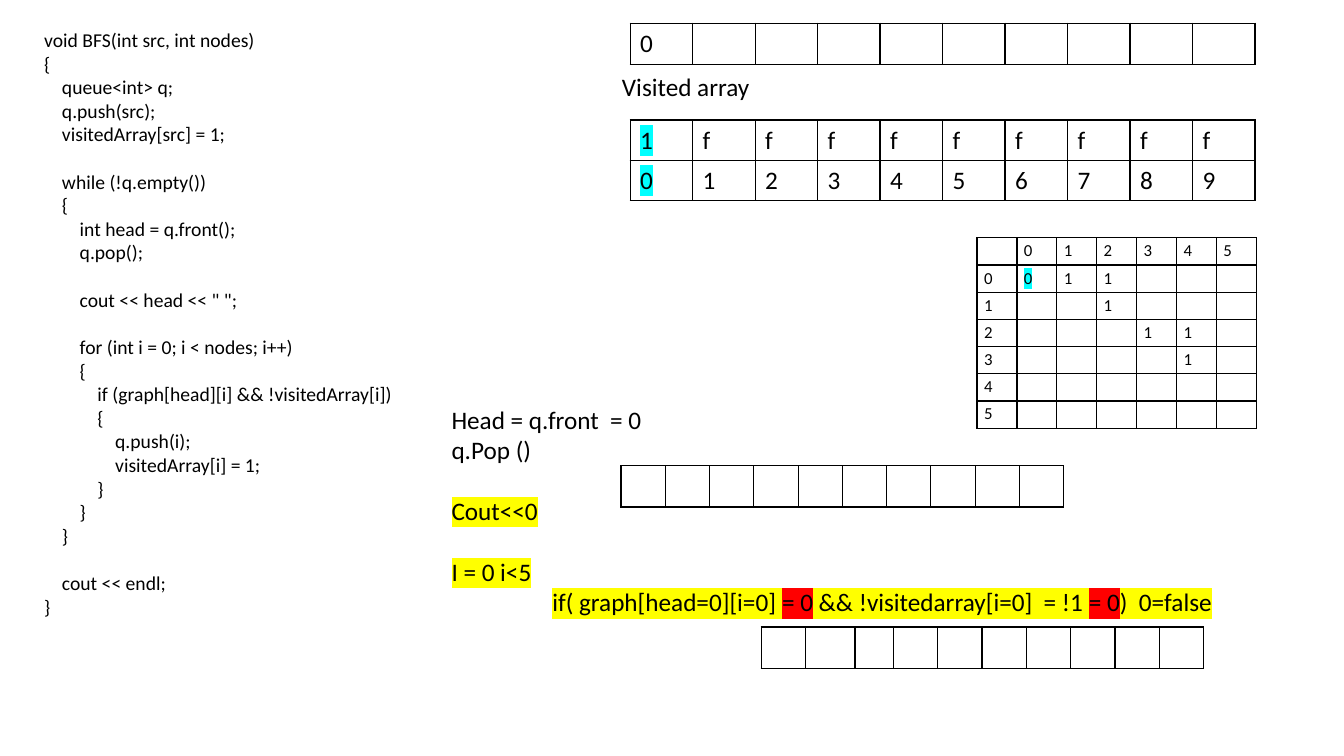
from collections import namedtuple
from dataclasses import dataclass

from lxml.etree import SubElement
from pptx import Presentation
from pptx.dml.color import RGBColor
from pptx.oxml.ns import qn
from pptx.util import Inches, Pt

Box = namedtuple("Box", "left top width height")


@dataclass(frozen=True)
class Theme:
    """Colours, font and type sizes of the slide."""
    font: str = "Calibri"
    ink: str = "000000"
    paper: str = "FFFFFF"
    current: str = "00FFFF"
    step: str = "FFFF00"
    false: str = "FF0000"
    body: int = 18
    code: int = 14
    matrix: int = 12
    border: float = 1


THEME = Theme()

BFS_CODE = """\
void BFS(int src, int nodes)
{
    queue<int> q;
    q.push(src);
    visitedArray[src] = 1;

    while (!q.empty())
    {
        int head = q.front();
        q.pop();

        cout << head << " ";

        for (int i = 0; i < nodes; i++)
        {
            if (graph[head][i] && !visitedArray[i])
            {
                q.push(i);
                visitedArray[i] = 1;
            }
        }
    }

    cout << endl;
}"""

TRACE = [
    (0, 0, [("Head = q.front  = 0", None)]),
    (0, 0, [("q.Pop ()", None)]),
    (1, 0, [("Cout<<0", THEME.step)]),
    (1, 0, [("I = 0 i<5", THEME.step)]),
    (0, 1, [("if( graph[head=0][i=0] ", THEME.step), ("= 0", THEME.false),
            (" && !visitedarray[i=0]  = !1 ", THEME.step), ("= 0", THEME.false),
            (")  0=false", THEME.step)]),
]

EDGES = {(0, 0): "0", (0, 1): "1", (0, 2): "1", (1, 2): "1",
         (2, 3): "1", (2, 4): "1", (3, 4): "1"}


def add_text(paragraph, text, size=THEME.body, highlight=None):
    """Append a formatted run to a paragraph."""
    run = paragraph.add_run()
    run.text = text
    run.font.size = Pt(size)
    run.font.color.rgb = RGBColor.from_string(THEME.ink)
    if highlight:
        mark = SubElement(run.font._element, qn("a:highlight"))
        SubElement(mark, qn("a:srgbClr"), val=highlight)
    run.font.name = THEME.font


def add_text_box(slide, box, lines, size=THEME.body, wrap=True):
    """Place lines of (blank lines before, indent in inches, runs) in a box."""
    frame = slide.shapes.add_textbox(*map(Inches, box)).text_frame
    frame.word_wrap = wrap
    for index, (blanks, indent, runs) in enumerate(lines):
        paragraph = frame.add_paragraph() if index else frame.paragraphs[0]
        paragraph.space_before = Pt(round(blanks * size * 1.22, 1))
        paragraph._p.get_or_add_pPr().set("marL", str(Inches(indent)))
        for text, highlight in runs:
            add_text(paragraph, text, size=size, highlight=highlight)


def add_code(slide, box, code):
    """Place a code listing, indenting each line by its nesting level."""
    lines, blanks = [], 0
    for line in code.splitlines():
        text = line.lstrip()
        if not text:
            blanks += 1
            continue
        level = (len(line) - len(text)) // 4
        lines.append((blanks, level * 0.176, [(text, None)]))
        blanks = 0
    add_text_box(slide, box, lines, size=THEME.code)


def format_cell(cell, text, size, highlight, margins):
    """Give a cell its text, margins, border and fill."""
    if margins:
        cell.margin_left = cell.margin_right = Inches(margins[0])
        cell.margin_top = cell.margin_bottom = Inches(margins[1])
    paragraph = cell.text_frame.paragraphs[0]
    if text:
        add_text(paragraph, text, size=size, highlight=highlight)
    else:
        SubElement(paragraph._p, qn("a:endParaRPr"), sz=str(size * 100))
    properties = cell._tc.get_or_add_tcPr()
    for side in ("lnL", "lnR", "lnT", "lnB"):
        line = SubElement(properties, qn(f"a:{side}"), w=str(Pt(THEME.border)))
        SubElement(SubElement(line, qn("a:solidFill")), qn("a:srgbClr"), val=THEME.ink)
    cell.fill.solid()
    cell.fill.fore_color.rgb = RGBColor.from_string(THEME.paper)


def add_grid(slide, box, rows, size=THEME.body, current=None, widths=None, margins=None):
    """Place a bordered table of texts, marking the current cell."""
    count = len(rows[0])
    widths = widths or [box.width / count] * count
    table = slide.shapes.add_table(len(rows), count, *map(Inches, box)).table
    table.first_row = table.horz_banding = False
    for column, width in zip(table.columns, widths):
        column.width = Inches(width)
    for row_index, row in enumerate(rows):
        table.rows[row_index].height = Inches(box.height / len(rows))
        for column_index, text in enumerate(row):
            highlight = THEME.current if (row_index, column_index) == current else None
            format_cell(table.cell(row_index, column_index), text, size, highlight, margins)


def add_visited_array(slide, box):
    """Place the label, the flags and the indices of the visited array."""
    add_text_box(slide, Box(box.left - 0.18, box.top, 1.48, 0.4),
                 [(0, 0, [("Visited array", None)])], wrap=False)
    flags = ["1"] + ["f"] * 9
    indices = [str(index) for index in range(10)]
    for order, row in enumerate((flags, indices)):
        row_box = Box(box.left, box.top + 0.53 + 0.4 * order, box.width, 0.4)
        add_grid(slide, row_box, [row], current=(0, 0))


def add_adjacency_matrix(slide, box):
    """Place the graph's adjacency matrix with its headings."""
    nodes = range(6)
    rows = [[""] + [str(node) for node in nodes]]
    rows += [[str(start)] + [EDGES.get((start, end), "") for end in nodes] for start in nodes]
    add_grid(slide, box, rows, size=THEME.matrix, current=(1, 1), margins=(0.07, 0.03))


def build_bfs_slide(presentation):
    """Build the slide that traces a breadth-first search."""
    slide = presentation.slides.add_slide(presentation.slide_layouts[6])
    empty_row = [""] * 10
    add_code(slide, Box(0.34, 0.23, 3.78, 5.99), BFS_CODE)
    add_grid(slide, Box(6.25, 0.23, 6.2, 0.41), [["0"] + empty_row[1:]])
    add_visited_array(slide, Box(6.25, 0.66, 6.2, 1.33))
    add_text_box(slide, Box(4.38, 3.96, 8.08, 3.5), TRACE)
    add_grid(slide, Box(6.16, 4.62, 4.39, 0.41), [empty_row])
    add_adjacency_matrix(slide, Box(9.69, 2.36, 2.77, 1.89))
    add_grid(slide, Box(7.55, 6.22, 4.39, 0.41), [empty_row],
             widths=[0.44, 0.49, 0.38] + [0.44] * 7)


def main():
    """Create the presentation and save it."""
    presentation = Presentation()
    presentation.slide_width = Inches(13.33)
    presentation.slide_height = Inches(7.5)
    build_bfs_slide(presentation)
    presentation.save("out.pptx")


if __name__ == "__main__":
    main()
